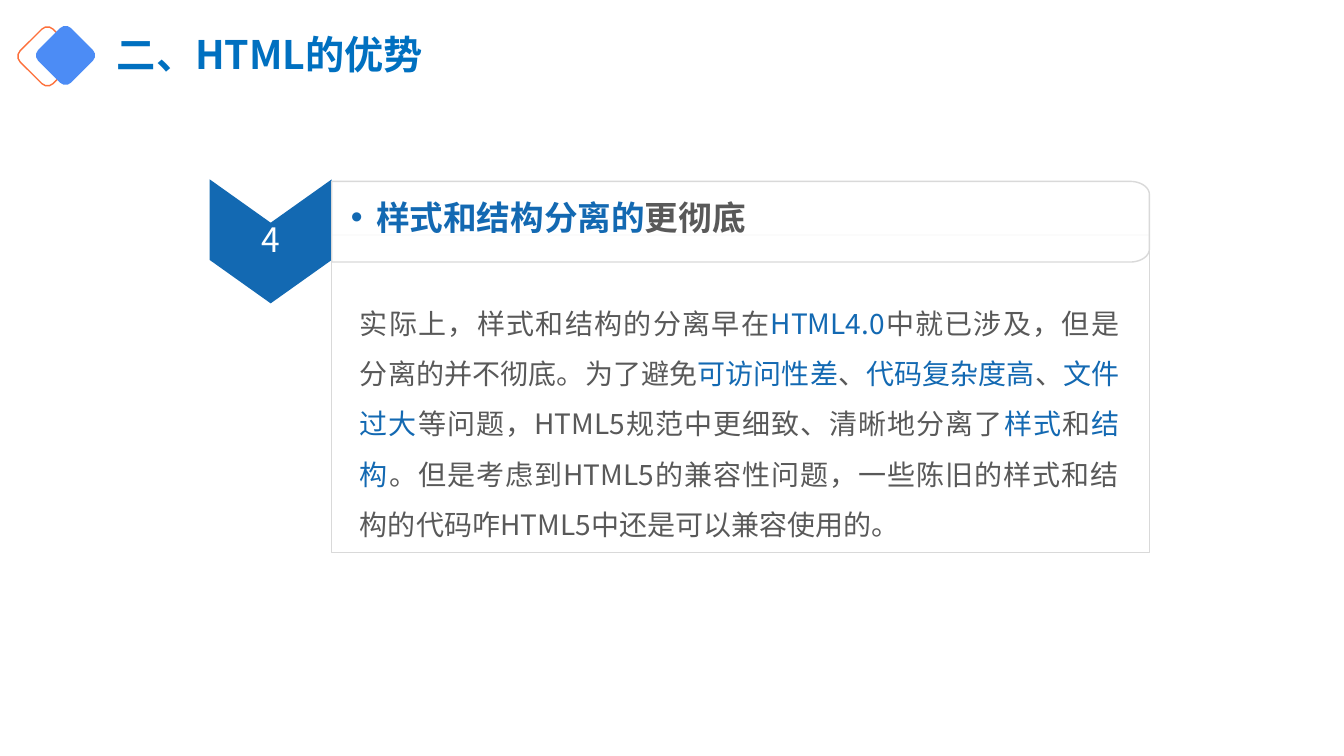
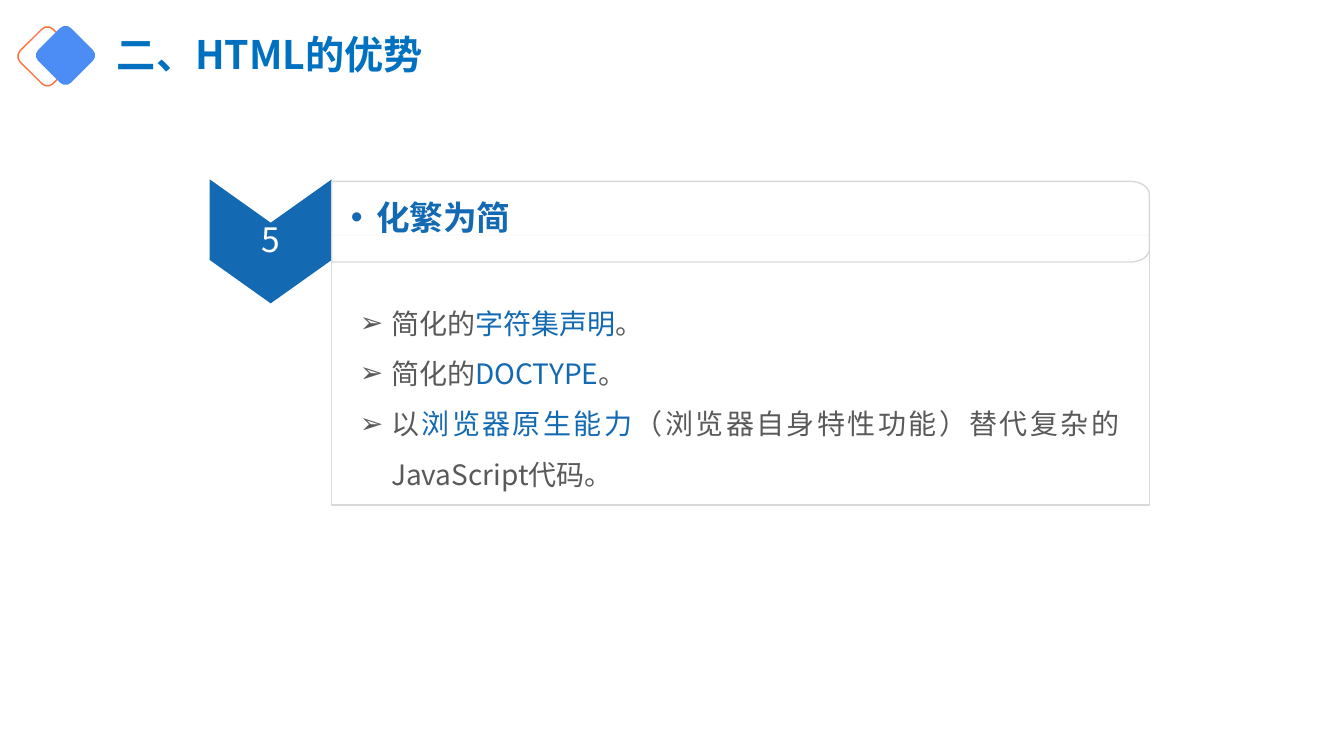
from math import cos, pi, sin

from lxml import etree
from pptx import Presentation
from pptx import util as u
from pptx.dml.color import RGBColor
from pptx.enum import shapes, text
from pptx.oxml import ns

FONT = "Noto Sans CJK SC"
BLUE, GREY, RULE, WHITE = "1369B2", "595959", "D9D9D9", "FFFFFF"
TITLE = "二、HTML的优势"

# Parts between bars are set in blue.
PAGES = [
    {
        "num": "4",
        "head": "|样式和结构分离的|更彻底",
        "body": [
            "实际上，样式和结构的分离早在|HTML4.0|中就已涉及，但是分离的并不彻底。"
            "为了避免|可访问性差|、|代码复杂度高|、|文件过大|等问题，"
            "HTML5规范中更细致、清晰地分离了|样式|和|结构|。"
            "但是考虑到HTML5的兼容性问题，一些陈旧的样式和结构的代码咋HTML5中"
            "还是可以兼容使用的。"
        ],
        "mark": None,
        "deep": 3.15,
    },
    {
        "num": "5",
        "head": "|化繁为简|",
        "body": [
            "简化的|字符集声明|。",
            "简化的|DOCTYPE|。",
            "以|浏览器原生能力|（浏览器自身特性功能）替代复杂的JavaScript代码。",
        ],
        "mark": "➢",
        "deep": 2.68,
    },
]

LEFT, WIDE = 3.29, 8.11           # card column
TOP, HIGH = 1.8, 0.8              # heading band
CARD = 2.33                       # top of the card frame
TAG, NOTCH = 1.21, 0.43           # arrow tag width and point depth


def color(code):
    return RGBColor.from_string(code)


def sub(node, tag, **attrs):
    return etree.SubElement(node, ns.qn(tag), attrs)


def write(frame, lines, size=20, ink=GREY, bold=False, align=text.PP_ALIGN.LEFT,
          gap=0.9, mark=None, hang=0.0, inset=(0.1, 0.05, 0.1, 0.05),
          anchor=text.MSO_ANCHOR.MIDDLE, fit=text.MSO_AUTO_SIZE.NONE):
    frame.word_wrap, frame.auto_size, frame.vertical_anchor = True, fit, anchor
    (frame.margin_left, frame.margin_top,
     frame.margin_right, frame.margin_bottom) = map(u.Inches, inset)
    for i, line in enumerate(lines):
        para = frame.add_paragraph() if i else frame.paragraphs[0]
        para.alignment, para.line_spacing = align, gap
        if mark:
            props = para._p.get_or_add_pPr()
            props.set("marL", str(u.Inches(hang)))
            props.set("indent", str(-u.Inches(hang)))
            sub(props, "a:buFont", typeface="Arial")
            sub(props, "a:buChar", char=mark)
        for k, part in enumerate(line.split("|")):
            if not part:
                continue
            run = para.add_run()
            run.text = part
            font = run.font
            font.size, font.bold, font.name = u.Pt(size), bold, FONT
            font.color.rgb = color(BLUE if k % 2 else ink)
            sub(run._r.get_or_add_rPr(), "a:ea", typeface=FONT)


def paint(shape, fill=None, line=None, alpha=None):
    shape.shadow.inherit = False
    if fill:
        shape.fill.solid()
        shape.fill.fore_color.rgb = color(fill)
        if alpha:
            tint = shape.element.spPr.find(".//" + ns.qn("a:srgbClr"))
            sub(tint, "a:alpha", val=str(alpha * 1000))
    else:
        shape.fill.background()
    if line:
        shape.line.color.rgb = color(line)
        shape.line.width = u.Pt(1)
    else:
        shape.line.fill.background()
    return shape


def place(slide, kind, box, **look):
    return paint(slide.shapes.add_shape(kind, *map(u.Inches, box)), **look)


def outline(slide, points, **look):
    first, *rest = [(u.Inches(x), u.Inches(y)) for x, y in points]
    pen = slide.shapes.build_freeform(*first)
    pen.add_line_segments(rest, close=True)
    return paint(pen.convert_to_shape(), **look)


def brand(slide):
    """Put the two diamonds on the slide's layout, behind its title."""
    kind = shapes.MSO_SHAPE.ROUNDED_RECTANGLE
    for spot, look in [((0.24, 0.33), {"line": "FD703B"}),
                       ((0.42, 0.32), {"fill": "4C8CF5"})]:
        gem = place(slide, kind, (*spot, 0.46, 0.46), **look)
        gem.rotation = 45
        slide.slide_layout.shapes.element.append(gem.element)


def tag(slide, num):
    x, y, mid = LEFT - TAG, 1.78, LEFT - TAG / 2
    low = y + HIGH
    points = [(LEFT, y), (LEFT, low), (mid, low + NOTCH), (x, low),
              (x, y), (mid, y + NOTCH)]
    write(outline(slide, points, fill=BLUE).text_frame, [num], size=24, ink=WHITE,
          align=text.PP_ALIGN.CENTER, inset=(0.02, 0.45, 0.02, 0.45))


def band(slide, head):
    """Heading band with its two right corners rounded."""
    rx, ry, right, low = 0.19, 0.13, LEFT + WIDE, TOP + HIGH
    turn = [i * pi / 24 for i in range(13)]
    upper = [(right - rx + rx * sin(a), TOP + ry - ry * cos(a)) for a in turn]
    lower = [(x, TOP + low - y) for x, y in reversed(upper)]
    points = [(LEFT, TOP), *upper, *lower, (LEFT, low)]
    shape = outline(slide, points, fill=WHITE, line=RULE, alpha=90)
    write(shape.text_frame, [head], size=24, bold=True, mark="•", hang=0.25,
          inset=(0.19, 0.06, 0.06, 0.11))


def build(slide, page):
    title = slide.shapes.title
    title.left, title.top, title.width, title.height = map(
        u.Inches, (1.06, 0.17, 5.13, 0.79))
    write(title.text_frame, [TITLE], size=28, ink="0070C0", bold=True)
    place(slide, shapes.MSO_SHAPE.RECTANGLE, (LEFT, CARD, WIDE, page["deep"]),
          line=RULE)
    tag(slide, page["num"])
    band(slide, page["head"])
    box = slide.shapes.add_textbox(*map(
        u.Inches, (LEFT + 0.15, 2.8, WIDE - 0.32, page["deep"] - 0.5)))
    write(box.text_frame, page["body"], align=text.PP_ALIGN.JUSTIFY, gap=1.5,
          mark=page["mark"], hang=0.31, inset=(0.13, 0.07, 0.13, 0.07),
          anchor=text.MSO_ANCHOR.TOP, fit=text.MSO_AUTO_SIZE.SHAPE_TO_FIT_TEXT)


def main():
    deck = Presentation()
    deck.slide_width, deck.slide_height = u.Inches(13.33), u.Inches(7.5)
    layout = deck.slide_layouts[5]
    for i, page in enumerate(PAGES):
        slide = deck.slides.add_slide(layout)
        if not i:
            brand(slide)
        build(slide, page)
    deck.save("out.pptx")


if __name__ == "__main__":
    main()
